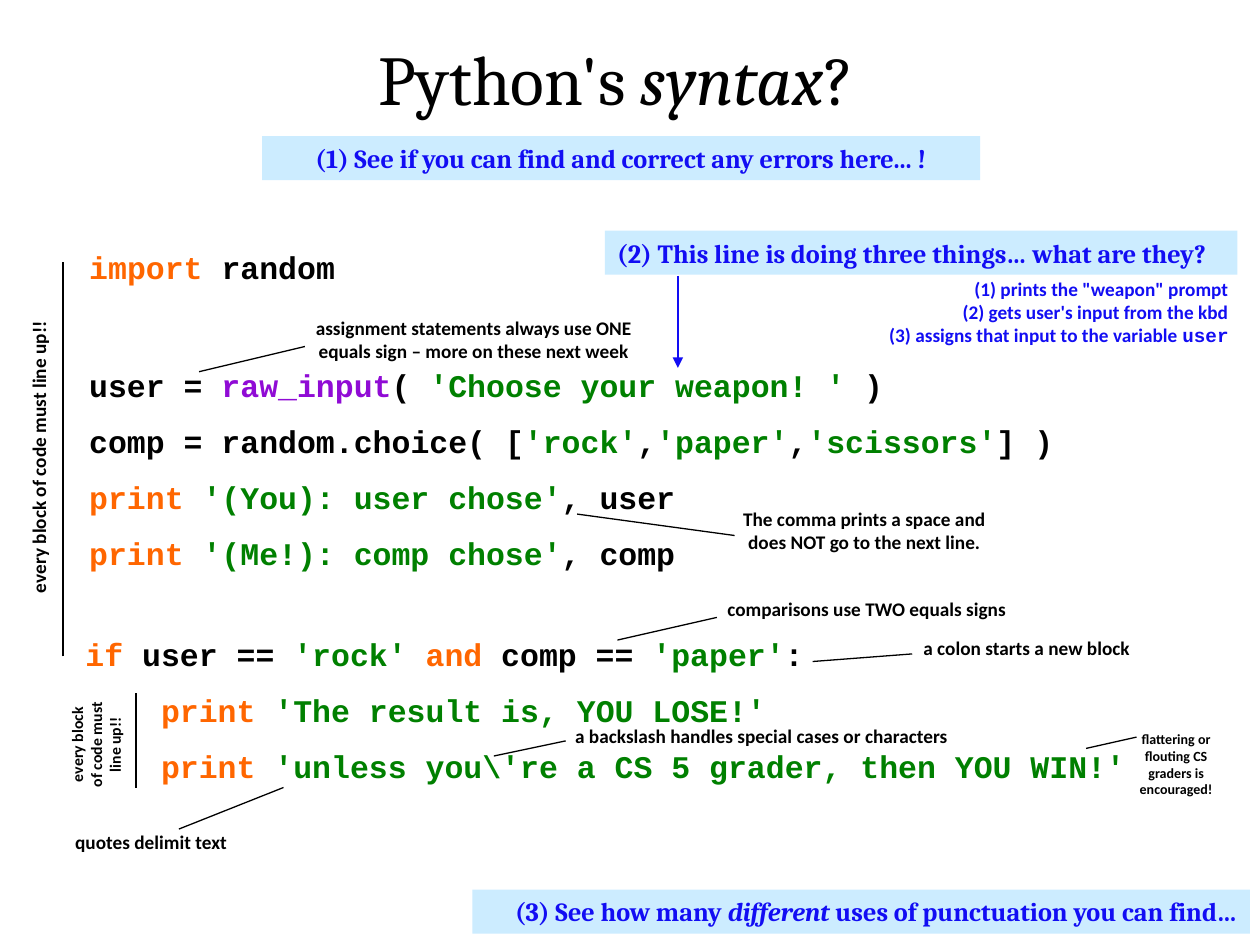
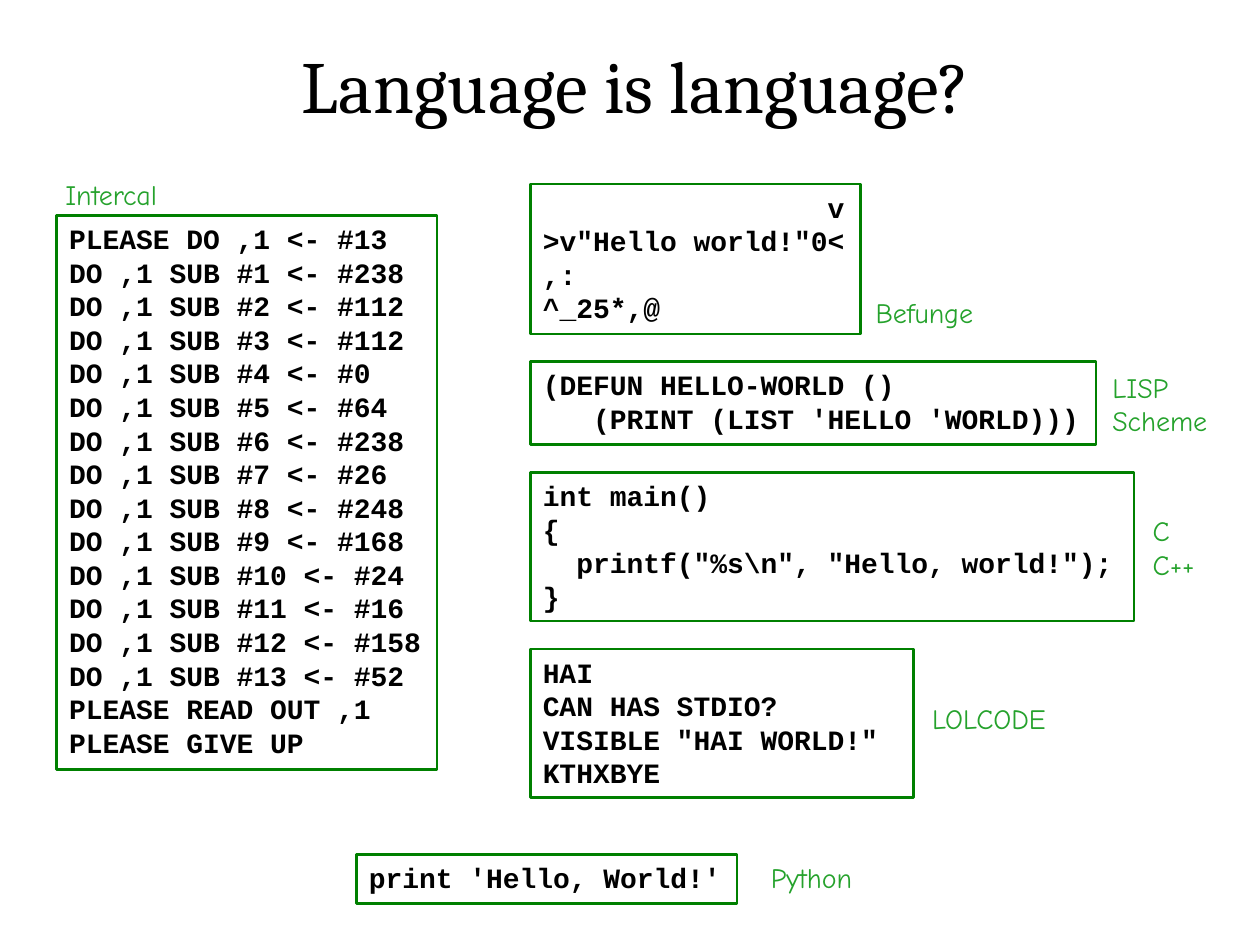
from dataclasses import dataclass, replace

from lxml import etree
from pptx import Presentation
from pptx import util as u
from pptx.dml.color import RGBColor
from pptx.enum import shapes, text
from pptx.oxml.ns import qn

WIDTH, HEIGHT = u.Inches(10), u.Inches(7.5)
COLUMNS, ROWS = 100, 75
BLACK, BLUE, SKY = "000000", "120DF3", "CCECFF"
KEYWORD, STRING, BUILTIN = "FF6600", "008000", "900BD5"
FRAME_GREEN, LABEL_GREEN = "008000", "25A22C"
LEFT, CENTER, RIGHT = text.PP_ALIGN.LEFT, text.PP_ALIGN.CENTER, text.PP_ALIGN.RIGHT


@dataclass(frozen=True)
class Style:
    """Type settings shared by the paragraphs of a box."""
    font: str
    size: float
    color: str = BLACK
    bold: bool = True
    before: float = 0


TITLE = Style("Cambria", 40, bold=False)
TASK = Style("Cambria", 15, BLUE)
CODE = Style("Courier New", 18, before=10.3)
SAMPLE = Style("Courier New", 16)
NOTE = Style("Calibri", 11)
LANGUAGE = Style("Comic Neue", 16, LABEL_GREEN, bold=False)


def rgb(value):
    """Turn a hex string into a colour."""
    return RGBColor.from_string(value)


def across(columns):
    """Length of a number of grid columns."""
    return round(WIDTH * columns / COLUMNS)


def down(rows):
    """Length of a number of grid rows."""
    return round(HEIGHT * rows / ROWS)


def place(area):
    """Turn left, top, width and height on the grid into lengths."""
    left, top, width, height = area
    return across(left), down(top), across(width), down(height)


def add_span(para, content, color=None, italic=None, font=None):
    """Add a run that may differ from its paragraph."""
    span = para.add_run()
    span.text = content
    if color:
        span.font.color.rgb = rgb(color)
    if italic:
        span.font.italic = True
    if font:
        span.font.name = font


def write(box, lines, style, align=LEFT, wrap=True):
    """Fill a box with lines, each a string or a list of spans."""
    frame = box.text_frame
    frame.word_wrap = wrap
    frame.auto_size = text.MSO_AUTO_SIZE.SHAPE_TO_FIT_TEXT
    frame.vertical_anchor = text.MSO_ANCHOR.TOP
    for index, line in enumerate(lines):
        para = frame.add_paragraph() if index else frame.paragraphs[0]
        para.alignment = align
        if index and style.before:
            para.space_before = u.Pt(style.before)
        para.font.name, para.font.size = style.font, u.Pt(style.size)
        para.font.bold = style.bold
        para.font.color.rgb = rgb(style.color)
        for span in [line] if isinstance(line, str) else line:
            if isinstance(span, str):
                add_span(para, span)
            else:
                add_span(para, span[0], **span[1])


def add_text(page, area, lines, style, align=LEFT, wrap=True, turn=0):
    """Add a plain text box."""
    box = page.shapes.add_textbox(*place(area))
    box.rotation = turn
    write(box, lines, style, align, wrap)


def add_panel(page, area, lines, style, align=LEFT, wrap=True, fill=None, outline=None):
    """Add a rectangle with text, filled or outlined."""
    box = page.shapes.add_shape(shapes.MSO_SHAPE.RECTANGLE, *place(area))
    box.shadow.inherit = False
    if fill:
        box.fill.solid()
        box.fill.fore_color.rgb = rgb(fill)
    else:
        box.fill.background()
    if outline:
        box.line.color.rgb = rgb(outline)
        box.line.width = u.Pt(1.5)
    else:
        box.line.fill.background()
    write(box, lines, style, align, wrap)


def add_pointer(page, ends, color=BLACK, weight=0.75, arrow=False):
    """Draw a straight line, with an arrowhead at its end if asked."""
    x1, y1, x2, y2 = ends
    line = page.shapes.add_connector(
        shapes.MSO_CONNECTOR.STRAIGHT, across(x1), down(y1), across(x2), down(y2))
    line.line.color.rgb = rgb(color)
    line.line.width = u.Pt(weight)
    if arrow:
        etree.SubElement(line.line._get_or_add_ln(), qn("a:tailEnd"), type="triangle")
    etree.SubElement(line._element.spPr, qn("a:effectLst"))


def keyword(content):
    """Span of a code keyword."""
    return content, {"color": KEYWORD}


def literal(content):
    """Span of a code string."""
    return content, {"color": STRING}


def build_syntax(page):
    """Slide with an annotated program."""
    add_text(page, (17.1, 2.3, 63.6, 7.7),
             [["Python's ", ("syntax", {"italic": True}), "?"]], TITLE, CENTER)
    printing, indent = keyword("print "), "    "
    program = [
        ((6.1, 19.2, 24.2, 4), [[keyword("import"), " random"]]),
        ((6.1, 28.6, 90, 4), [
            ["user = ", ("raw_input", {"color": BUILTIN}), "( ",
             literal("'Choose your weapon! ' "), ")"]]),
        ((6.1, 33, 92.3, 13.1), [
            ["comp = random.choice( [", literal("'rock'"), ",", literal("'paper'"),
             ",", literal("'scissors'"), "] )"],
            [printing, literal("'(You): user chose'"), ", user"],
            [printing, literal("'(Me!): comp chose'"), ", comp"]]),
        ((5.8, 49.9, 92.4, 13.1), [
            [keyword("if "), "user == ", literal("'rock' "), keyword("and "),
             "comp == ", literal("'paper'"), ":"],
            [indent, printing, literal("'The result is, YOU LOSE!'")],
            [indent, printing,
             literal(r"'unless you\'re a CS 5 grader, then YOU WIN!'")]]),
    ]
    for area, lines in program:
        add_text(page, area, lines, CODE)

    line_up = "every block of code must line up!!"
    add_text(page, (-9, 34.5, 24.2, 2.9), [line_up], NOTE, wrap=False, turn=270)
    add_text(page, (3.2, 56.3, 8.9, 5.6), [line_up], replace(NOTE, size=9), CENTER, turn=270)
    notes = [
        ((55.1, 46.9, 27.4, 2.9), "comparisons use TWO equals signs", CENTER),
        ((44.5, 57, 31.9, 2.9), "a backslash handles special cases or characters", CENTER),
        ((72.3, 50, 27.4, 2.9), "a colon starts a new block", LEFT),
        ((57.4, 39.8, 22.4, 4.7),
         "The comma prints a space and does NOT go to the next line.", CENTER),
        ((22.7, 24.6, 29.8, 4.7),
         "assignment statements always use ONE equals sign – more on these next week", CENTER),
        ((2.5, 65.4, 16.5, 2.9), "quotes delimit text", RIGHT),
    ]
    for area, note, align in notes:
        add_text(page, area, [note], NOTE, align)
    add_text(page, (89.2, 57.5, 8.3, 6.4),
             ["flattering or flouting CS graders is encouraged!"],
             replace(NOTE, size=8), CENTER)
    add_text(page, (68.5, 21.5, 30, 6.6), [
        '(1) prints the "weapon" prompt',
        "(2) gets user's input from the kbd",
        ["(3) assigns that input to the variable ", ("user", {"font": CODE.font})],
    ], replace(NOTE, color=BLUE), RIGHT)

    for ends in [(5, 52.1, 5, 20.8), (10.8, 62.5, 10.8, 55), (49, 50.8, 56.9, 49),
                 (39.2, 60, 44.9, 58.8), (64.5, 52.5, 72.4, 51.9),
                 (86.2, 59.4, 90.2, 58.5), (45.8, 40.8, 58.3, 42.5),
                 (15.8, 29.5, 24.2, 27.5), (14.2, 65.8, 22.5, 62.5)]:
        add_pointer(page, ends)
    add_pointer(page, (53.8, 21.9, 53.8, 29.2), BLUE, 1.5, arrow=True)

    tasks = [
        ((20.8, 10.8, 57, 3.5),
         "(1) See if you can find and correct any errors here... !", CENTER, True),
        ((48, 18.3, 50.2, 3.5),
         "(2) This line is doing three things… what are they?", LEFT, False),
        ((37.5, 70.6, 61.7, 3.5),
         ["(3) See how many ", ("different ", {"italic": True}),
          "uses of punctuation you can find…"], RIGHT, True),
    ]
    for area, line, align, wrap in tasks:
        add_panel(page, area, [line], TASK, align, wrap, fill=SKY)


def build_languages(page):
    """Slide with one greeting in several languages."""
    add_text(page, (9.2, 2.7, 82.5, 8.1), ["Language is language?"],
             replace(TITLE, size=42), CENTER)
    codes = [238, 112, 112, 0, 64, 238, 26, 248, 168, 24, 16, 158, 52]
    intercal = ["PLEASE DO ,1 <- #13",
                *(f"DO ,1 SUB #{n} <- #{code}" for n, code in enumerate(codes, 1)),
                "PLEASE READ OUT ,1", "PLEASE GIVE UP"]
    samples = [
        ((4.5, 17.1, 30.2, 44), intercal, (4.2, 13.6, 10.6, 3.7), ["Intercal"]),
        ((42.1, 14.6, 26.2, 11.9),
         ["                 v", '>v"Hello world!"0<', ",:", "^_25*,@"],
         (68.5, 23, 10.5, 3.7), ["Befunge"]),
        ((42.1, 28.7, 44.9, 6.6),
         ["(DEFUN HELLO-WORLD ()", "   (PRINT (LIST 'HELLO 'WORLD)))"],
         (87.3, 28.9, 10.2, 6.4), ["LISP", "Scheme"]),
        ((42.1, 37.5, 47.9, 11.8),
         ["int main()", "{", r'  printf("%s\n", "Hello, world!");', "}"],
         (90.5, 40.3, 5.5, 6.4), ["C", "C++"]),
        ((42.1, 51.5, 30.4, 11.8),
         ["HAI", "CAN HAS STDIO?", 'VISIBLE "HAI WORLD!"', "KTHXBYE"],
         (73, 55.2, 18.3, 3.7), ["LOLCODE"]),
        ((28.3, 67.8, 30.2, 3.9), ["print 'Hello, World!'"],
         (60.2, 67.8, 9, 3.7), ["Python"]),
    ]
    for area, lines, label_area, names in samples:
        add_panel(page, area, lines, SAMPLE, wrap=False, outline=FRAME_GREEN)
        add_text(page, label_area, names, LANGUAGE, wrap=False)


def main():
    """Build the deck and save it."""
    deck = Presentation()
    deck.slide_width, deck.slide_height = WIDTH, HEIGHT
    blank = deck.slide_layouts[6]
    for build in (build_syntax, build_languages):
        build(deck.slides.add_slide(blank))
    deck.save("out.pptx")


if __name__ == "__main__":
    main()
